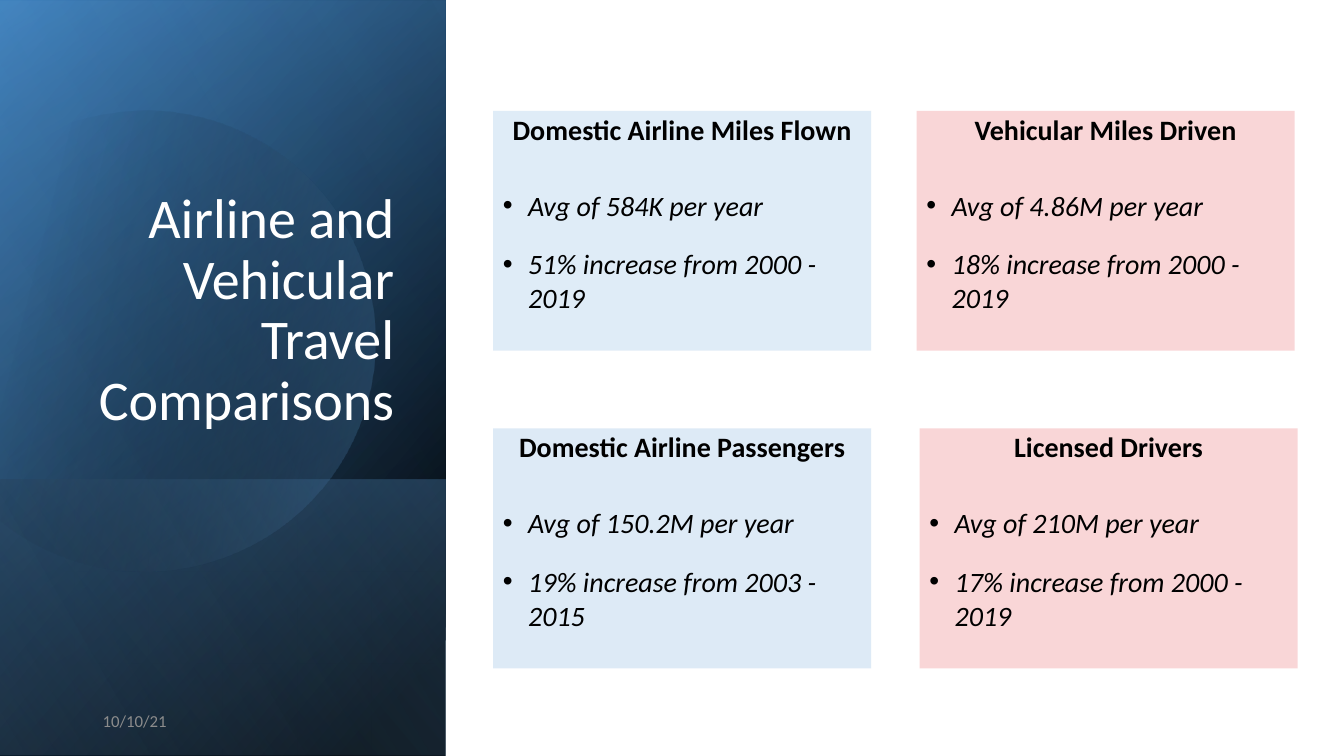
from math import cos, radians, sin

from lxml import etree
from pptx import Presentation
from pptx.dml.color import RGBColor
from pptx.enum.shapes import MSO_SHAPE
from pptx.enum.text import MSO_ANCHOR, MSO_AUTO_SIZE, PP_ALIGN
from pptx.oxml.ns import qn
from pptx.util import Inches, Pt

RECTANGLE = MSO_SHAPE.RECTANGLE
FONT = "Calibri"
TITLE = "Airline and Vehicular Travel Comparisons"
DATE = "10/10/21"
BLUE, RED = "BDD7EE", "EE797C"

# left, top, fill, opacity, heading, bullets
CARDS = [
    (4.89, 1.1, BLUE, 47, "Domestic Airline Miles Flown",
     ["Avg of 584K per year", "51% increase from 2000 - 2019"]),
    (9.09, 1.1, RED, 30, "Vehicular Miles Driven",
     ["Avg of 4.86M per year", "18% increase from 2000 - 2019"]),
    (4.89, 4.25, BLUE, 50, "Domestic Airline Passengers",
     ["Avg of 150.2M per year", "19% increase from 2003 - 2015"]),
    (9.12, 4.25, RED, 30, "Licensed Drivers",
     ["Avg of 210M per year", "17% increase from 2000 - 2019"]),
]
CARD_SIZE = (3.75, 2.38)

# Panel layers: box, gradient stops (position, colour, opacity), angle
LOWER_LAYERS = [
    ((-1.54, 1.54, 7.5, 4.42), [(8, "000000", 100), (100, "2E75B6", 100)], 50),
    ((-1.54, 1.55, 7.5, 4.42), [(0, "000000", 0), (99, "5B9BD5", 46)], 30),
    ((0.84, 3.92, 2.74, 4.42), [(2, "5B9BD5", 29), (100, "000000", 30)], 130),
]
TOP_LAYER = ((-1.54, 1.53, 7.5, 4.42), [(0, "000000", 0), (99, "9DC3E6", 11)], 120)

# Disc outline on the slide: a start, then curves (three points) and lines (one)
DISC_START = (1.49, 1.1)
DISC_SEGMENTS = [
    [(2.46, 1.12), (3.35, 1.77), (3.63, 2.75)],
    [(3.98, 3.97), (3.28, 5.23), (2.07, 5.58)],
    [(1.31, 5.8), (0.53, 5.61), (-0.03, 5.14)],
    [(-0.15, 5.03)],
    [(-0.15, 1.75)],
    [(0, 1.61)],
    [(0.23, 1.42), (0.5, 1.28), (0.8, 1.19)],
    [(1.03, 1.13), (1.26, 1.1), (1.49, 1.1)],
]
DISC_CENTRE = (1.585, 3.345)
DISC_ROTATION = 343.9
DISC_STOPS = [(29, "000000", 0), (100, "5B9BD5", 43)]
CURVE_STEPS = 24


def colour(value):
    return RGBColor.from_string(value)


def fill_solid(shape, value, opacity=100):
    shape.shadow.inherit = False
    shape.line.fill.background()
    shape.fill.solid()
    shape.fill.fore_color.rgb = colour(value)
    if opacity < 100:
        tint = shape.fill._xPr.find(".//" + qn("a:srgbClr"))
        etree.SubElement(tint, qn("a:alpha"), val=str(opacity * 1000))


def fill_gradient(shape, stops, angle):
    shape.shadow.inherit = False
    shape.line.fill.background()
    shape.fill.gradient()
    gradient = shape.fill._xPr.find(qn("a:gradFill"))
    gradient.set("rotWithShape", "1")
    for child in list(gradient):
        gradient.remove(child)
    stop_list = etree.SubElement(gradient, qn("a:gsLst"))
    for position, value, opacity in stops:
        stop = etree.SubElement(stop_list, qn("a:gs"), pos=str(position * 1000))
        tint = etree.SubElement(stop, qn("a:srgbClr"), val=value)
        etree.SubElement(tint, qn("a:alpha"), val=str(opacity * 1000))
    etree.SubElement(gradient, qn("a:lin"), ang=str(angle * 60000), scaled="0")


def add_rectangle(page, box):
    return page.shapes.add_shape(RECTANGLE, *map(Inches, box))


def add_layer(page, box, stops, angle):
    layer = add_rectangle(page, box)
    layer.rotation = 90
    layer._element.spPr.find(qn("a:xfrm")).set("flipH", "1")
    fill_gradient(layer, stops, angle)


def disc_points():
    points = [DISC_START]
    for segment in DISC_SEGMENTS:
        if len(segment) == 1:
            points += segment
            continue
        corners = [points[-1], *segment]
        for step in range(1, CURVE_STEPS + 1):
            t = step / CURVE_STEPS
            weights = ((1 - t) ** 3, 3 * t * (1 - t) ** 2, 3 * t * t * (1 - t), t ** 3)
            points.append(tuple(sum(w * corner[axis] for w, corner in zip(weights, corners))
                                for axis in (0, 1)))
    return points


def add_disc(page):
    # Turn the outline back first, so that the shape's rotation restores it
    turn = radians(-DISC_ROTATION)
    centre_x, centre_y = DISC_CENTRE
    outline = []
    for x, y in disc_points():
        dx, dy = x - centre_x, y - centre_y
        outline.append((Inches(centre_x + dx * cos(turn) - dy * sin(turn)),
                        Inches(centre_y + dx * sin(turn) + dy * cos(turn))))
    builder = page.shapes.build_freeform(*outline[0])
    builder.add_line_segments(outline[1:], close=True)
    disc = builder.convert_to_shape()
    disc.rotation = DISC_ROTATION
    fill_gradient(disc, DISC_STOPS, 30)


def format_text(para, size, value, bold=False, italic=False):
    for span in para.runs:
        span.font.name = FONT
        span.font.size = Pt(size)
        span.font.color.rgb = colour(value)
        span.font.bold, span.font.italic = bold, italic


def add_card(page, left, top, value, opacity, heading, bullets):
    card = add_rectangle(page, (left, top, *CARD_SIZE))
    fill_solid(card, value, opacity)
    frame = card.text_frame
    frame.word_wrap = True
    frame.vertical_anchor = MSO_ANCHOR.TOP
    para = frame.paragraphs[0]
    para.text = heading
    para.alignment = PP_ALIGN.CENTER
    para.line_spacing = 0.9
    para.space_before = para.space_after = Pt(12)
    format_text(para, 20, "000000", bold=True)
    for index, bullet in enumerate(bullets):
        para = frame.add_paragraph()
        para.text = bullet
        para.alignment = PP_ALIGN.LEFT
        para.space_before = Pt(12 if index else 18)
        para.space_after = Pt(6)
        format_text(para, 20, "000000", italic=True)
        properties = para._p.get_or_add_pPr()
        properties.set("marL", str(Inches(0.25)))
        properties.set("indent", str(Inches(-0.25)))
        etree.SubElement(properties, qn("a:buFont"), typeface="Arial")
        etree.SubElement(properties, qn("a:buChar"), char="•")


def place_title(title):
    title.left, title.top, title.width, title.height = map(Inches, (0.51, 0.64, 3.5, 3.7))
    frame = title.text_frame
    frame.text = TITLE
    frame.word_wrap = True
    frame.auto_size = MSO_AUTO_SIZE.NONE
    frame.vertical_anchor = MSO_ANCHOR.BOTTOM
    para = frame.paragraphs[0]
    para.alignment = PP_ALIGN.RIGHT
    para.line_spacing = 0.9
    format_text(para, 40, "FFFFFF")


def add_date(page):
    box = page.shapes.add_textbox(*map(Inches, (0.92, 6.95, 3, 0.4)))
    frame = box.text_frame
    frame.text = DATE
    frame.word_wrap = True
    frame.vertical_anchor = MSO_ANCHOR.MIDDLE
    format_text(frame.paragraphs[0], 12, "8C8C8C")


def main():
    deck = Presentation()
    deck.slide_width, deck.slide_height = Inches(13.33), Inches(7.5)
    page = deck.slides.add_slide(deck.slide_layouts[5])
    title = page.shapes.title

    # Background and left panel
    fill_solid(add_rectangle(page, (0, 0, 13.33, 7.5)), "FFFFFF")
    for layer in LOWER_LAYERS:
        add_layer(page, *layer)
    add_disc(page)
    add_layer(page, *TOP_LAYER)

    # Title, moved in front of the panel
    page.shapes._spTree.append(title._element)
    place_title(title)

    # Cards and date
    for card in CARDS:
        add_card(page, *card)
    add_date(page)
    deck.save("out.pptx")


if __name__ == "__main__":
    main()
